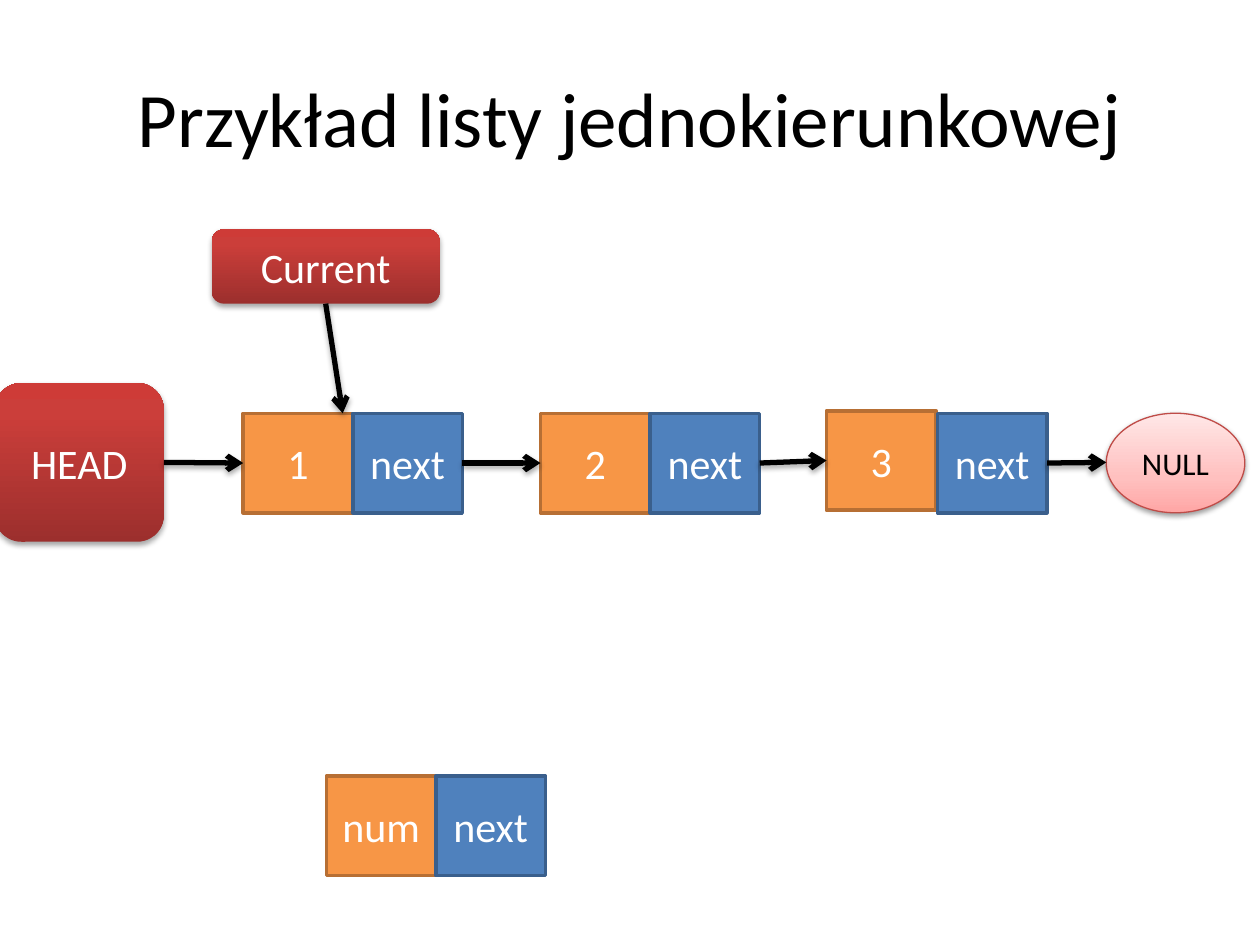
"""Build a slide that shows a singly linked list with its head and current pointers."""
from copy import deepcopy
from lxml.etree import SubElement as Sub
from pptx import Presentation
from pptx.dml.color import RGBColor
from pptx.enum.shapes import MSO_CONNECTOR as Conn, MSO_SHAPE as Kind
from pptx.enum.text import MSO_ANCHOR as Anchor, PP_ALIGN as Align
from pptx.oxml.ns import qn
from pptx.util import Inches, Pt

rgb = RGBColor.from_string
RED = [(0, "9C2F2D"), (0.8, "CB3E3A"), (1, "CE3B37")]
PINK = [(0, "FFA6A5"), (0.35, "FFC0BF"), (1, "FFE7E7")]
WIDE, HIGH = 0.87, 0.79


def shade(item, dist=23000, alpha=35000):
    """Drop a soft black shadow straight below the item."""
    effect = Sub(item._element.spPr, qn("a:effectLst"))
    drop = Sub(effect, qn("a:outerShdw"), blurRad="40000", dist=str(dist),
               dir="5400000", rotWithShape="0")
    tint = Sub(drop, qn("a:srgbClr"), val="000000")
    Sub(tint, qn("a:alpha"), val=str(alpha))


def box(kind, spot, text, fill, edge=None, width=2, size=24, ink="FFFFFF"):
    """Add a labelled shape with a plain fill, or a gradient from a list of stops."""
    item = slide.shapes.add_shape(kind, *map(Inches, spot))
    if isinstance(fill, str):
        item.fill.solid()
        item.fill.fore_color.rgb = rgb(fill)
    else:
        item.fill.gradient()
        item.fill.gradient_angle = 90
        stops = item._element.spPr.find(".//" + qn("a:gsLst"))
        stops.append(deepcopy(stops[0]))
        for stop, (place, tone) in zip(item.fill.gradient_stops, fill):
            stop.position = place
            stop.color.rgb = rgb(tone)
    if edge:
        item.line.color.rgb = rgb(edge)
        item.line.width = Pt(width)
    else:
        item.line.fill.background()
    item.text_frame.text = text
    item.text_frame.vertical_anchor = Anchor.MIDDLE
    para = item.text_frame.paragraphs[0]
    para.alignment = Align.CENTER
    for key, val in {"name": "Calibri", "size": Pt(size)}.items():
        setattr(para.font, key, val)
    para.font.color.rgb = rgb(ink)
    if isinstance(fill, str):
        item.shadow.inherit = False
    return item


deck = Presentation()
deck.slide_width, deck.slide_height = Inches(10), Inches(7.5)
slide = deck.slides.add_slide(deck.slide_layouts[5])

title = slide.shapes.title
for key, val in {"left": 0.5, "top": 0.3, "width": 9, "height": 1.25}.items():
    setattr(title, key, Inches(val))
title.text_frame.text = "Przykład listy jednokierunkowej"
title.text_frame.vertical_anchor = Anchor.MIDDLE
para = title.text_frame.paragraphs[0]
para.alignment = Align.CENTER
for key, val in {"name": "Calibri", "size": Pt(44)}.items():
    setattr(para.font, key, val)
para.font.color.rgb = rgb("000000")

nodes = []
for label, left, top, next_left, next_top in [
    ("1", 1.93, 3.28, 2.8, 3.28),
    ("2", 4.29, 3.28, 5.16, 3.28),
    ("3", 6.56, 3.26, 7.44, 3.28),
    ("num", 2.59, 6.16, 3.46, 6.16),
]:
    data = box(Kind.RECTANGLE, (left, top, WIDE, HIGH), label, "F79646", "B76F34")
    link = box(Kind.RECTANGLE, (next_left, next_top, WIDE, HIGH), "next",
               "4F81BD", "3A5F8C")
    nodes.append((data, link))

head = box(Kind.ROUNDED_RECTANGLE, (-0.04, 3.04, 1.34, 1.26), "HEAD", RED)
now = box(Kind.ROUNDED_RECTANGLE, (1.68, 1.82, 1.81, 0.59), "Current", RED)
null = box(Kind.OVAL, (8.78, 3.28, 1.1, HIGH), "NULL", PINK, "BF4C48", 0.75, 18, "000000")
shade(head)
shade(now)
shade(null, 20000, 38000)

(one, next_one), (two, next_two), (three, next_three), _ = nodes
for start, side, goal, end in [
    (head, 3, one, (1.93, 3.67)),
    (next_one, 3, two, (4.29, 3.67)),
    (next_two, 3, three, (6.56, 3.66)),
    (next_three, 3, None, (8.78, 3.67)),
    (now, 2, None, (2.72, 3.28)),
]:
    x, y = map(Inches, end)
    arrow = slide.shapes.add_connector(Conn.STRAIGHT, x, y, x, y)
    arrow.begin_connect(start, side)
    if goal:
        arrow.end_connect(goal, 1)
    arrow.line.color.rgb = rgb("000000")
    arrow.line.width = Pt(3)
    Sub(arrow._element.spPr.find(qn("a:ln")), qn("a:tailEnd"), type="arrow")
    shade(arrow)

deck.save("out.pptx")
